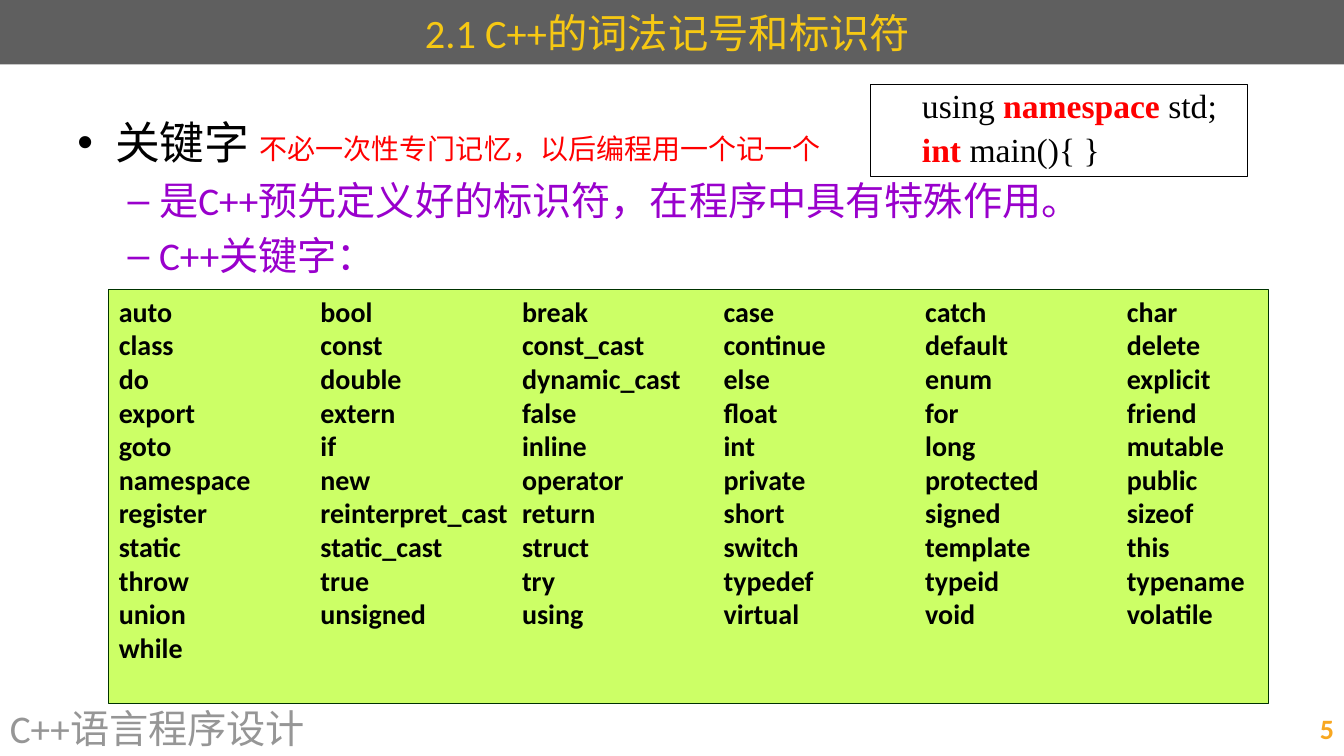
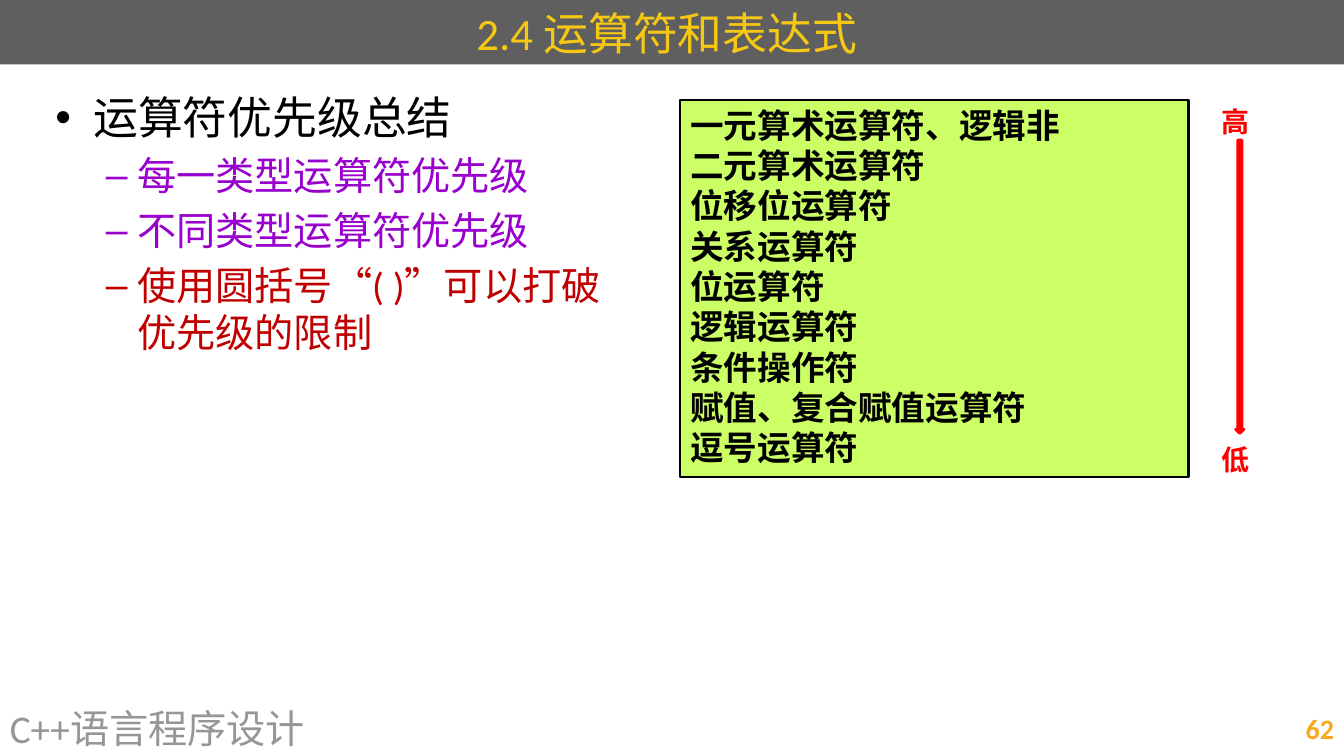
from lxml.etree import SubElement
from pptx import Presentation
from pptx.dml.color import RGBColor as Rgb
from pptx.enum.shapes import MSO_SHAPE as Kind
from pptx.enum.text import MSO_ANCHOR as Anchor, MSO_AUTO_SIZE as Auto, PP_ALIGN as Align
from pptx.oxml.ns import qn
from pptx.util import Pt

WIDE, HIGH = 960, 540
HUES = {
    "band": "5F5F5F", "gold": "F6C813", "page": "F8A720", "foot": "969696",
    "ink": "000000", "red": "FF0000", "brick": "C00000", "plum": "9900CC",
    "lime": "CCFF66", "pine": "003300",
}
WORDS = """auto bool break case catch char
class const const_cast continue default delete
do double dynamic_cast else enum explicit
export extern false float for friend
goto if inline int long mutable
namespace new operator private protected public
register reinterpret_cast return short signed sizeof
static static_cast struct switch template this
throw true try typedef typeid typename
union unsigned using virtual void volatile
while""".splitlines()
RANKS = ["一元算术运算符、逻辑非", "二元算术运算符", "位移位运算符", "关系运算符", "位运算符",
         "逻辑运算符", "条件操作符", "赋值、复合赋值运算符", "逗号运算符"]


def tint(name):
    return Rgb.from_string(HUES[name])


def write(par, text, size=20, hue="ink", bold=False, face="Calibri"):
    for row, part in enumerate(text.split("\n")):
        if row:
            par.add_line_break()
        run = par.add_run()
        run.text = part
        font = run.font
        font.name, font.size, font.bold = face, Pt(size), bold
        font.color.rgb = tint(hue)


def place(shape, box):
    shape.left, shape.top, shape.width, shape.height = map(Pt, box)


def pars(frame, count):
    while len(frame.paragraphs) < count:
        frame.add_paragraph()
    return frame.paragraphs


def label(slide, box, text, align=Align.LEFT, anchor=Anchor.TOP, wrap=True, **form):
    frame = slide.shapes.add_textbox(*map(Pt, box)).text_frame
    frame.word_wrap, frame.vertical_anchor = wrap, anchor
    par = frame.paragraphs[0]
    par.alignment = align
    write(par, text, **form)


def panel(slide, box, edge, width, fill=None, kind=Kind.RECTANGLE):
    shape = slide.shapes.add_shape(kind, *map(Pt, box))
    shape.shadow.inherit = False
    if fill:
        shape.fill.solid()
        shape.fill.fore_color.rgb = tint(fill)
    else:
        shape.fill.background()
    shape.line.color.rgb = tint(edge)
    shape.line.width = Pt(width)
    return shape


def lines(shape, rows, **form):
    frame = shape.text_frame
    frame.word_wrap, frame.vertical_anchor = True, Anchor.TOP
    for par, row in zip(pars(frame, len(rows)), rows):
        par.alignment = Align.LEFT
        for text, style in row:
            write(par, text, **{**form, **style})
    return frame


def base(deck, title, size, page):
    slide = deck.slides.add_slide(deck.slide_layouts[1])
    head = slide.shapes.title
    place(head, (0, 0, WIDE, 46))
    head.fill.solid()
    head.fill.fore_color.rgb = tint("band")
    head.text_frame.auto_size = Auto.NONE
    head.text_frame.vertical_anchor = Anchor.MIDDLE
    write(head.text_frame.paragraphs[0], title, size=size, hue="gold")
    top, tall = 500.4, 39.6
    label(slide, (0, top, 632, tall), "C++语言程序设计", anchor=Anchor.MIDDLE, size=28, hue="foot")
    label(slide, (WIDE - 272, top, 272, tall), page, align=Align.RIGHT,
          anchor=Anchor.MIDDLE, hue="page", bold=True)
    return slide


def points(slide, box, head, subs):
    body = slide.placeholders[1]
    place(body, box)
    frame = body.text_frame
    frame.auto_size = Auto.NONE
    first, *rest = pars(frame, 1 + len(subs))
    first.space_before = Pt(0)
    for text, form in head:
        write(first, text, **form)
    for par, (text, hue) in zip(rest, subs):
        par.level = 1
        write(par, text, size=28, hue=hue)


def words(slide, box):
    shape = panel(slide, box, "pine", 0.75, "lime")
    rows = [[(row.replace(" ", "\t"), {})] for row in WORDS]
    frame = lines(shape, rows, bold=True)
    for par in frame.paragraphs:
        tabs = SubElement(par._p.get_or_add_pPr(), qn("a:tabLst"))
        for col in range(1, 6):
            SubElement(tabs, qn("a:tab"), pos=str(Pt(144 * col)), algn="l")


def code(slide, box):
    key = {"hue": "red", "bold": True}
    rows = [[("using ", {}), ("namespace", key), (" std;", {})],
            [("int", key), (" main(){ }", {})]]
    frame = lines(panel(slide, box, "ink", 0.75), rows, size=24, face="Times New Roman")
    frame.margin_left = Pt(36.6)
    for par in frame.paragraphs:
        par.line_spacing = 0.9
    frame.paragraphs[1].space_before = Pt(5.5)


def ranks(slide, box):
    left, top, width, tall = box
    shape = panel(slide, box, "ink", 1.5, "lime")
    lines(shape, [[(text, {})] for text in RANKS], size=24, bold=True, face="Times New Roman")
    side = left + width + 16.6
    for text, drop in (("高", 0), ("低", 241)):
        label(slide, (side, top + drop, 34.6, 31.7), text, wrap=False, hue="red", bold=True)
    panel(slide, (side + 17, top + 28.8, 6, 209.5), "red", 2, "red", Kind.DOWN_ARROW)


def main():
    deck = Presentation()
    deck.slide_width, deck.slide_height = Pt(WIDE), Pt(HIGH)

    slide = base(deck, "2.1 C++的词法记号和标识符 ", 28.8, "5")
    points(slide, (48, 78.5, 864, 404),
           [("关键字 ", {"size": 32}), ("不必一次性专门记忆，以后编程用一个记一个", {"hue": "red"})],
           [("是C++预先定义好的标识符，在程序中具有特殊作用。", "plum"), ("C++关键字：", "plum")])
    words(slide, (77.8, 206.6, 828, 296))
    code(slide, (622, 60.5, 269, 65.5))

    slide = base(deck, "2.4 运算符和表达式 ", 32, "62")
    points(slide, (32.4, 60.5, 873, 418),
           [("运算符优先级总结", {"size": 32})],
           [("每一类型运算符优先级", "plum"), ("不同类型运算符优先级", "plum"),
            ("使用圆括号“( )”可以打破\n优先级的限制", "brick")])
    ranks(slide, (486, 71.3, 363, 269.3))

    deck.save("out.pptx")


if __name__ == "__main__":
    main()
